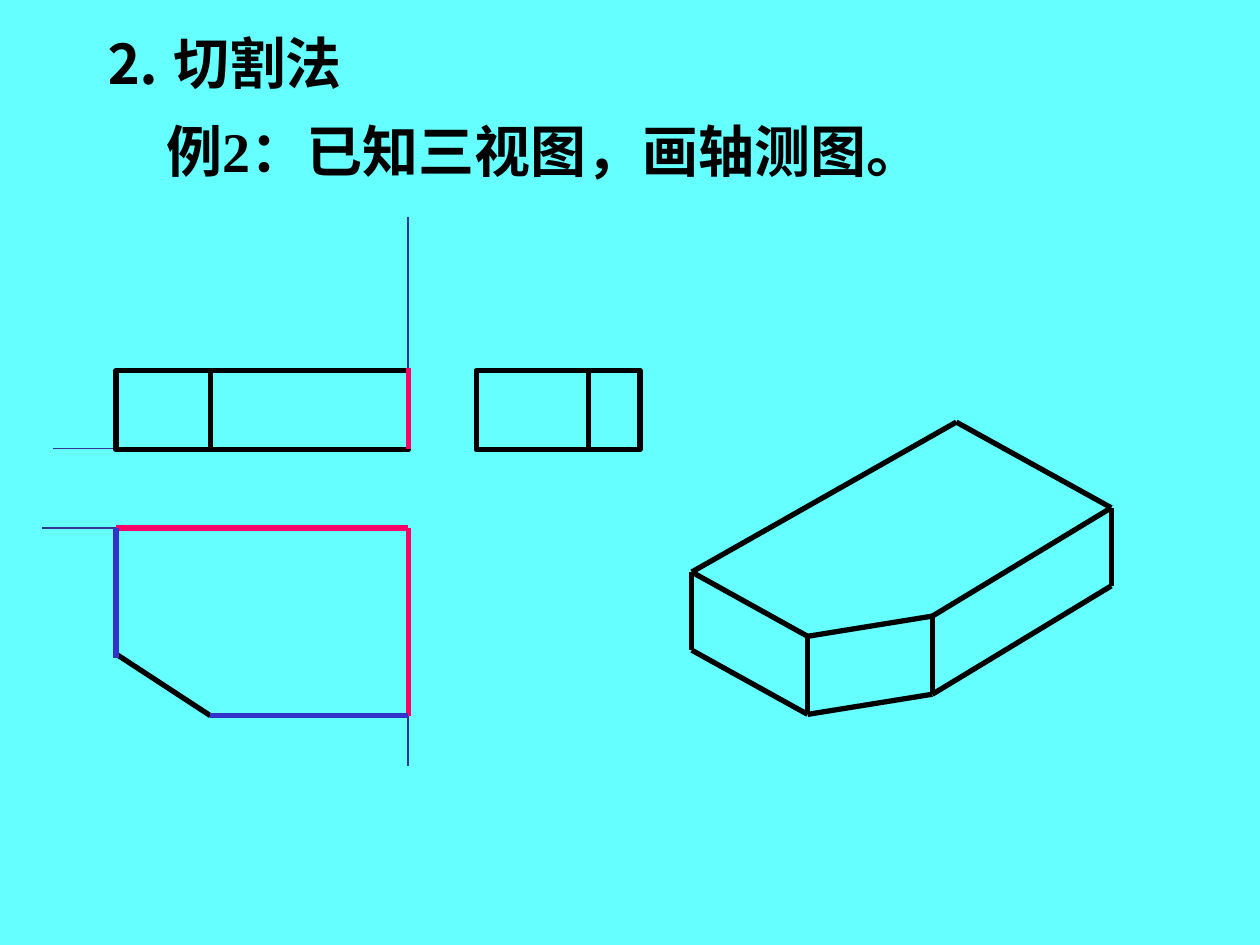
from itertools import pairwise
from lxml.etree import SubElement
from pptx import Presentation
from pptx.dml.color import RGBColor
from pptx.enum.shapes import MSO_CONNECTOR, MSO_SHAPE
from pptx.enum.text import MSO_ANCHOR, MSO_AUTO_SIZE
from pptx.oxml.ns import qn
from pptx.util import Inches, Pt

CYAN = RGBColor(0x66, 0xFF, 0xFF)
BLACK = RGBColor(0, 0, 0)
NAVY = RGBColor(0x33, 0x33, 0x99)
BLUE = RGBColor(0x33, 0x33, 0xCC)
PINK = RGBColor(0xFF, 0x00, 0x66)


def add_line(slide, box, start, end, color=BLACK, width=3):
    """Draw a line between two points measured from the box corner."""
    left, top = box[:2]
    ends = [Inches(n) for x, y in (start, end) for n in (left + x, top + y)]
    line = slide.shapes.add_connector(MSO_CONNECTOR.STRAIGHT, *ends)
    line.line.color.rgb = color
    line.line.width = Pt(width)
    SubElement(line._element.spPr, qn("a:effectLst"))


def add_text(slide, box, text):
    """Place a bold heading in the box."""
    shape = slide.shapes.add_textbox(*map(Inches, box))
    frame = shape.text_frame
    frame.word_wrap = False
    frame.auto_size = MSO_AUTO_SIZE.SHAPE_TO_FIT_TEXT
    frame.vertical_anchor = MSO_ANCHOR.MIDDLE
    run = frame.paragraphs[0].add_run()
    run.text = text
    run.font.name = "Times New Roman"
    run.font.size = Pt(32)
    run.font.bold = True
    run.font.color.rgb = BLACK


def add_view(slide, box, split):
    """Draw a rectangular view with one upright edge inside."""
    shape = slide.shapes.add_shape(MSO_SHAPE.RECTANGLE, *map(Inches, box))
    shape.shadow.inherit = False
    shape.fill.background()
    shape.line.color.rgb = BLACK
    shape.line.width = Pt(3)
    add_line(slide, box, (split, box[3]), (split, 0))


def add_axes(slide, front, plan):
    """Draw the thin axes of the front view and the plan."""
    wide, high = front[2:]
    add_line(slide, front, (wide, 0.62), (-0.5, 0.62), NAVY, 1)
    add_line(slide, front, (wide, high), (wide, -1.22), NAVY, 1)
    add_line(slide, plan, (wide, 0), (-0.59, 0), NAVY, 1)
    add_line(slide, plan, (wide, 0), (wide, 1.89), NAVY, 1)


def add_plan(slide, box, cut):
    """Draw the plan with its cut corner and coloured edges."""
    wide, high = box[2:]
    across, down = cut
    corners = [(0, 0), (wide, 0), (wide, high), (across, high), (0, down), (0, 0)]
    for start, end in pairwise(corners):
        add_line(slide, box, start, end)
    add_line(slide, box, (wide, 0), (0, 0), PINK)
    add_line(slide, box, (wide, 0), (wide, high), PINK)
    add_line(slide, box, (wide, high), (across, high), BLUE)
    add_line(slide, box, (0, 0), (0, down + 0.03), BLUE)


def add_solid(slide, box, depth):
    """Draw the axonometric solid as a top face and its visible sides."""
    rim = [(0, 1.19), (0.92, 1.7), (1.91, 1.54), (box[2], 0.68)]
    base = [(x, y + depth) for x, y in rim]
    for start, end in pairwise([*rim, (2.1, 0), rim[0]]):
        add_line(slide, box, start, end)
    for start, end in [*pairwise(base), *zip(rim, base)]:
        add_line(slide, box, start, end)


def main():
    """Build and save the slide."""
    deck = Presentation()
    deck.slide_width, deck.slide_height = Inches(10), Inches(7.5)
    slide = deck.slides.add_slide(deck.slide_layouts[6])
    slide.background.fill.solid()
    slide.background.fill.fore_color.rgb = CYAN

    front = (0.92, 2.94, 2.32, 0.63)
    side = (3.78, 2.94, 1.3, 0.63)
    plan = (0.92, 4.19, 2.32, 1.49)
    add_axes(slide, front, plan)
    add_view(slide, front, 0.75)
    add_view(slide, side, 0.89)
    add_line(slide, front, (2.32, 0.62), (2.32, -0.02), PINK)
    add_plan(slide, plan, (0.75, 1))
    add_text(slide, (1.22, 0.87, 6.42, 0.64), "例2：已知三视图，画轴测图。")
    add_text(slide, (0.73, 0.17, 2.1, 0.64), "⒉ 切割法")
    add_solid(slide, (5.49, 3.35, 3.33, 2.3), 0.62)
    deck.save("out.pptx")


if __name__ == "__main__":
    main()
